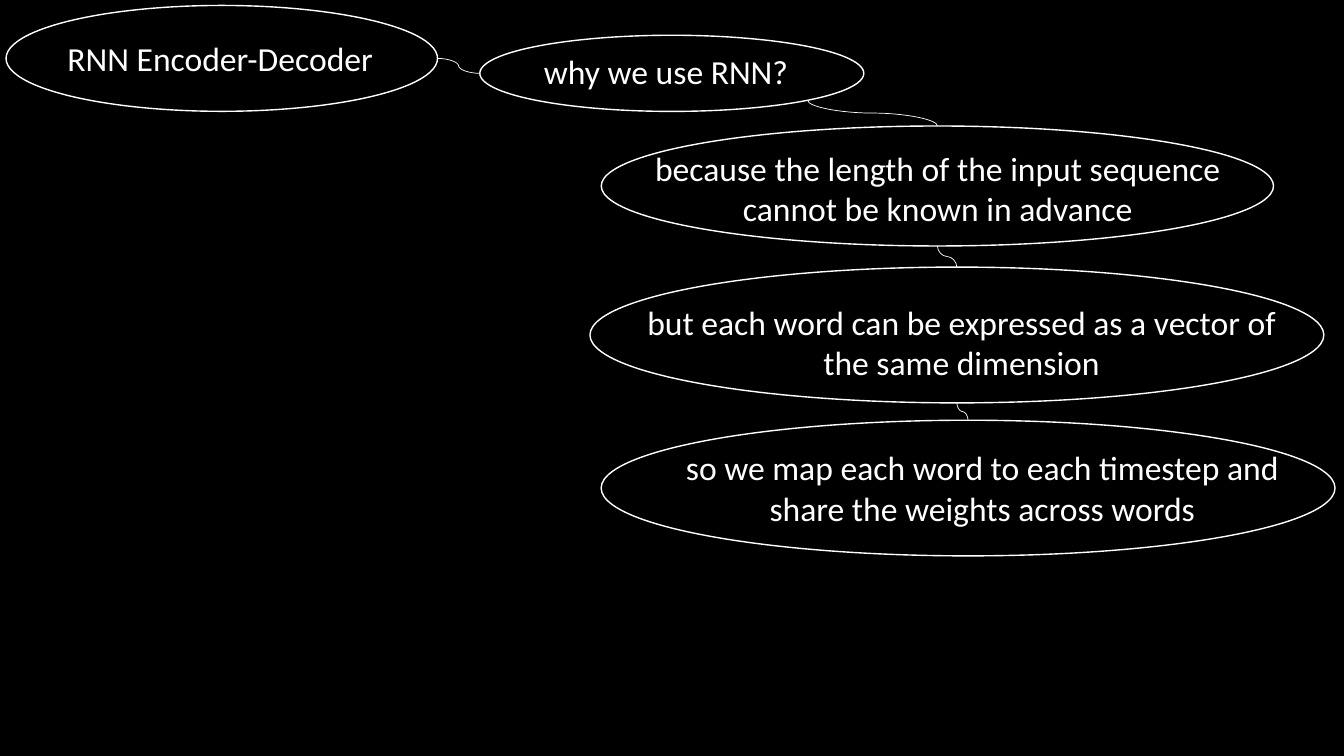
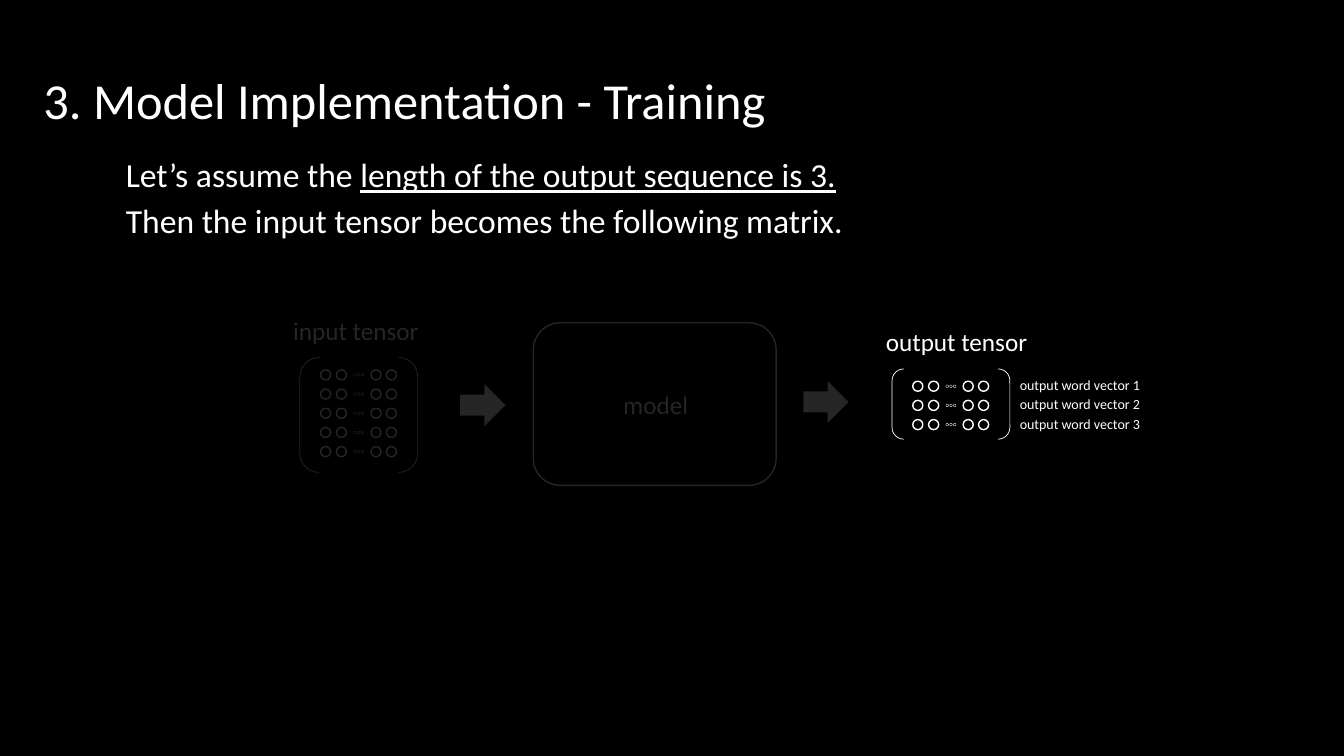
from math import cos, radians, sin

from pptx import Presentation
from pptx.dml.color import RGBColor
from pptx.enum import shapes, text
from pptx.oxml.xmlchemy import OxmlElement
from pptx.util import Pt

# Shared style
WHITE, BLACK, FONT = "FFFFFF", "000000", "Calibri"
DIM = 15  # opacity of the faded parts, in percent
KIND = shapes.MSO_SHAPE
LEFT, MID = text.PP_ALIGN.LEFT, text.PP_ALIGN.CENTER

# Slide 1: ellipse box, text box, alignment, wording; the first is the title
NODES = [
    ((4.3, 3.9, 308.2, 75.6), (41, 23.8, 258.5, 36), LEFT,
     "RNN Encoder-Decoder"),
    ((342.7, 25.2, 274.3, 54.4), (381.4, 32.7, 258.5, 36), LEFT,
     "why we use RNN?"),
    ((429.5, 90, 480.2, 85.7), (429.8, 101.9, 480.2, 65.5), MID,
     "because the length of the input sequence cannot be known in advance"),
    ((421.4, 190.8, 524.2, 97), (446.7, 212.1, 480.2, 65.5), MID,
     "but each word can be expressed as a vector of the same dimension"),
    ((429.4, 300.2, 524.2, 96.9), (473.4, 315.8, 456.5, 65.5), MID,
     "so we map each word to each timestep and share the weights across words"),
]
# Angles on the ellipses where each link leaves and arrives (clockwise)
LINKS = [(0, 180), (45, 270), (90, 270), (90, 270)]

# Slide 2
TITLE = "3. Model Implementation - Training"
INTRO = [
    [("Let’s assume the ", False),
     ("length of the output sequence is 3.", True)],
    [("Then the input tensor becomes the following matrix.", False)],
]
LABELS = [  # wording, box, opacity
    ("input tensor", (202.3, 221.4, 143.3, 29), DIM),
    ("model", (438.1, 274.5, 97.2, 29), DIM),
    ("output tensor", (625.7, 229.7, 143.3, 29), 100),
]
ARROWS = [(328.7, 274.3), (573.8, 272)]
MODEL = (380.9, 230.6, 173.5, 116.1)
INPUT = (214.2, 255.4, 84.2, 82.1)
OUTPUT = (637.2, 263.5, 84.2, 50.2)
VECTORS = [f"output word vector {n}" for n in (1, 2, 3)]
RINGS, DOTS = (18.4, 29.7, 54.4, 65.4), (39.4, 42.1, 44.8)
FIRST, PITCH = 12.4, 13.7  # first matrix row and row distance


def pts(box):
    return [Pt(v) for v in box]


def paint(fill, color, alpha=100):
    fill.solid()
    fill.fore_color.rgb = RGBColor.from_string(color)
    if alpha < 100:
        tag = OxmlElement("a:alpha")
        tag.set("val", str(alpha * 1000))
        fill._xPr.xpath(".//a:srgbClr")[0].append(tag)


def write(shape, paras, size=24, align=LEFT, alpha=100, gap=0):
    """Fill a shape with a string, or with paragraphs of (text, underline)."""
    if isinstance(paras, str):
        paras = [[(paras, False)]]
    frame = shape.text_frame
    frame.word_wrap = True
    frame.auto_size = text.MSO_AUTO_SIZE.NONE
    frame.vertical_anchor = text.MSO_ANCHOR.TOP
    for i, runs in enumerate(paras):
        para = frame.add_paragraph() if i else frame.paragraphs[0]
        para.alignment = align
        para.space_before = Pt(gap if i else 0)
        for words, under in runs:
            run = para.add_run()
            run.text = words
            font = run.font
            font.name, font.size = FONT, Pt(size)
            if under:
                font.underline = True
            paint(font.fill, WHITE, alpha)


def label(slide, words, box, **style):
    write(slide.shapes.add_textbox(*pts(box)), words, **style)


def head(deck, words, box, **style):
    """Add a slide with its title."""
    slide = deck.slides.add_slide(deck.slide_layouts[5])
    title = slide.shapes.title
    title.left, title.top, title.width, title.height = pts(box)
    write(title, words, **style)
    return slide


def draw(parent, kind, box, fill=None, line=None, alpha=100):
    """Add a shape; line is its width, or None for no line."""
    shape = parent.add_shape(kind, *pts(box))
    shape.shadow.inherit = False
    if fill:
        paint(shape.fill, fill, 100 if fill == BLACK else alpha)
    else:
        shape.fill.background()
    if line:
        shape.line.width = Pt(line)
        paint(shape.line.fill, WHITE, alpha)
    else:
        shape.line.fill.background()
    return shape


def rim(box, angle):
    x, y, w, h = box
    turn = radians(angle)
    return x + w / 2 * (1 + cos(turn)), y + h / 2 * (1 + sin(turn))


def link(slide, start, end, upright):
    """Join two points by a curve; upright ones leave downwards."""
    (x1, y1), (x2, y2) = start, end
    if upright:
        cx, cy = (x1 + x2) / 2, (y1 + y2) / 2
        dx, dy = (y2 - y1) / 2, (x2 - x1) / 2
        x1, y1, x2, y2 = cx - dx, cy - dy, cx + dx, cy + dy
    curve = slide.shapes.add_connector(
        shapes.MSO_CONNECTOR.CURVE, *pts((x1, y1, x2, y2)))
    curve.line.width = Pt(0.5)
    paint(curve.line.fill, WHITE)
    props = curve._element.spPr
    props.append(OxmlElement("a:effectLst"))
    if upright:
        props.xfrm.set("rot", str(270 * 60000))
        props.xfrm.set("flipH", "1")


def matrix(slide, box, rows, alpha=100):
    """Draw a bracketed grid of word vectors; return the row centres."""
    group = slide.shapes.add_group_shape().shapes
    x, y = box[:2]
    draw(group, KIND.DOUBLE_BRACKET, box, BLACK, 0.5, alpha)
    mids = [y + FIRST + PITCH * i for i in range(rows)]
    for mid in mids:
        for spots, size, fill, line in ((DOTS, 1.8, None, 0.25),
                                        (RINGS, 7.2, BLACK, 1)):
            for spot in spots:
                at = (x + spot - size / 2, mid - size / 2, size, size)
                draw(group, KIND.OVAL, at, fill, line, alpha)
    return mids


def reasons(deck):
    _, box, align, words = NODES[0]
    slide = head(deck, words, box, align=align)
    for i, (oval, box, align, words) in enumerate(NODES):
        draw(slide.shapes, KIND.OVAL, oval, line=1)
        if i:
            label(slide, words, box, align=align)
    for (a, b), one, two in zip(LINKS, NODES, NODES[1:]):
        link(slide, rim(one[0], a), rim(two[0], b), upright=a > 0)


def training(deck):
    slide = head(deck, TITLE, (23.8, 45.4, 894.2, 51), size=36)
    label(slide, INTRO, (82.8, 106.6, 691.2, 69), gap=3.8)
    # Flow from input through model to output
    draw(slide.shapes, KIND.ROUNDED_RECTANGLE, MODEL, line=1, alpha=DIM)
    for spot in ARROWS:
        draw(slide.shapes, KIND.RIGHT_ARROW, (*spot, 32.4, 30.2),
             WHITE, alpha=DIM)
    for words, box, alpha in LABELS:
        label(slide, words, box, size=18, alpha=alpha)
    # Tensors
    matrix(slide, INPUT, 5, DIM)
    edge = OUTPUT[0] + OUTPUT[2]
    for words, mid in zip(VECTORS, matrix(slide, OUTPUT, len(VECTORS))):
        label(slide, words, (edge, mid - 10.3, 103.7, 19.4), size=10)


def main():
    deck = Presentation()
    deck.slide_width, deck.slide_height = Pt(960), Pt(540)
    paint(deck.slide_master.background.fill, BLACK)
    reasons(deck)
    training(deck)
    deck.save("out.pptx")


if __name__ == "__main__":
    main()
